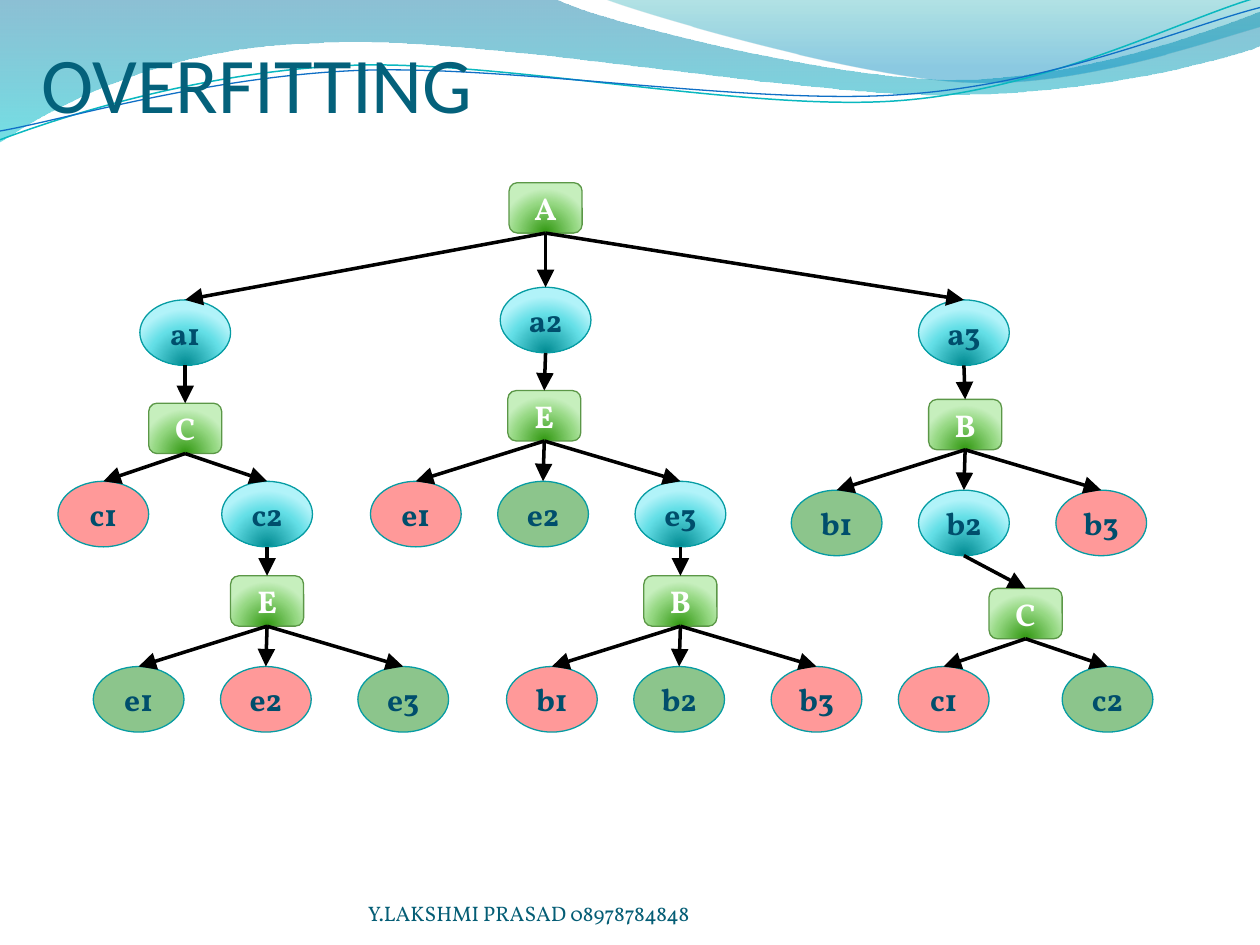
from dataclasses import dataclass

from lxml.etree import SubElement
from pptx import Presentation
from pptx.dml.color import RGBColor
from pptx.enum.shapes import MSO_CONNECTOR, MSO_SHAPE
from pptx.enum.text import MSO_ANCHOR, MSO_AUTO_SIZE, PP_ALIGN
from pptx.oxml.ns import qn
from pptx.util import Inches, Pt


@dataclass(frozen=True)
class Theme:
    title_font: str = "Calibri"
    body_font: str = "Vollkorn"
    title_size: float = 45
    node_size: float = 18
    footer_size: float = 12
    title: str = "04617B"
    footer: str = "045D75"
    attribute_text: str = "FFFFFF"
    value_text: str = "004E6C"
    attribute_line: str = "5B9747"
    value_line: str = "069CA3"
    arrow: str = "000000"
    # Gradient stops: position, colour, opacity in percent
    attribute: tuple = ((0, "319811", 100), (68, "95D882", 100), (100, "C6EFBD", 100))
    branch: tuple = ((0, "008A91", 100), (68, "64DFE7", 100), (100, "B1F3F9", 100))
    negative: tuple = ("FF0000", 40)
    positive: tuple = ("008000", 45)
    wide_wave: tuple = ((0, "0074A1", 45), (100, "00C6CF", 55))
    right_wave: tuple = ((0, "00A1A9", 30), (80, "008BBF", 45))
    upper_curve: str = "0AB8BF"
    lower_curve: str = "0F6FC6"


THEME = Theme()

# Outlines: a start point, then lines (2 numbers) and Bezier curves (6 numbers)
WIDE_WAVE = [(0, 0), (4.4, -0.01), (4.76, 0.17, 6.64, 0.63, 7.58, 0.63),
             (8.53, 0.63, 9.58, 0.26, 10, 0.09), (10.01, 0.36),
             (9.83, 0.44, 8.7, 0.76, 7.46, 0.75), (6.22, 0.75, 3.82, 0.28, 2.57, 0.34),
             (1.29, 0.36, 0.46, 0.83, -0.01, 1.13)]
RIGHT_WAVE = [(4.79, -0.01), (5.09, 0.11, 6.82, 0.62, 7.69, 0.65),
              (8.56, 0.69, 9.61, 0.32, 10, 0.21), (10, 0)]
UPPER_CURVE = [(0, 1.11), (0.48, 0.93, 1.58, 0.57, 2.77, 0.52),
               (3.95, 0.47, 5.93, 0.89, 7.13, 0.8), (8.33, 0.71, 9.38, 0.15, 9.98, -0.02)]
LOWER_CURVE = [(0, 1.04), (0.47, 0.96, 1.64, 0.61, 2.83, 0.56),
               (4.03, 0.51, 5.97, 0.84, 7.17, 0.75), (8.36, 0.67, 9.41, 0.21, 10, 0.06)]

ATTRIBUTE_SIZE = (0.58, 0.4)
VALUE_SIZE = (0.72, 0.52)
# Child offsets from the parent's centre, by number of children
FANS = {2: (-0.65, 0.65), 3: (-1.02, -0.01, 1.08)}
FAN_GAPS = {2: 0.22, 3: 0.32}


@dataclass
class Node:
    label: str
    fill: tuple
    children: tuple = ()
    dx: float = 0
    gap: float = 0


def attribute(label, *values, dx=0, gap=0.23):
    """An attribute test whose values fan out evenly below it."""
    for value, offset in zip(values, FANS[len(values)]):
        value.dx, value.gap = offset, FAN_GAPS[len(values)]
    return Node(label, THEME.attribute, values, dx, gap)


def branch(label, child):
    return Node(label, THEME.branch, (child,))


def yes(label):
    return Node(label, THEME.positive)


def no(label):
    return Node(label, THEME.negative)


def decision_tree():
    a1 = branch("a1", attribute(
        "C", no("c1"), branch("c2", attribute("E", yes("e1"), no("e2"), yes("e3"))), gap=0.3))
    a2 = branch("a2", attribute(
        "E", no("e1"), yes("e2"),
        branch("e3", attribute("B", no("b1"), yes("b2"), no("b3"))), dx=-0.01, gap=0.3))
    a3 = branch("a3", attribute(
        "B", yes("b1"), branch("b2", attribute("C", no("c1"), yes("c2"), dx=0.49, gap=0.26)),
        no("b3"), dx=0.01, gap=0.27))
    root = attribute("A", a1, a2, a3)
    # The first level spreads wider than the fans below it
    for value, dx, gap in zip(root.children, (-2.86, 0, 3.32), (0.53, 0.43, 0.53)):
        value.dx, value.gap = dx, gap
    return root


def color(code):
    return RGBColor.from_string(code)


def set_alpha(color_element, percent):
    SubElement(color_element, qn("a:alpha"), val=str(percent * 1000))


def fill_solid(shape, code, opacity):
    shape.fill.solid()
    shape.fill.fore_color.rgb = color(code)
    set_alpha(next(shape.element.spPr.iter(qn("a:srgbClr"))), opacity)


def fill_gradient(shape, stops, radial=False):
    shape.fill.gradient()
    gradient = shape.element.spPr.find(qn("a:gradFill"))
    for part in list(gradient):
        gradient.remove(part)
    stop_list = SubElement(gradient, qn("a:gsLst"))
    for position, code, opacity in stops:
        stop = SubElement(stop_list, qn("a:gs"), pos=str(position * 1000))
        set_alpha(SubElement(stop, qn("a:srgbClr"), val=code), opacity)
    if radial:
        focus = SubElement(gradient, qn("a:path"), {"path": "circle"})
        SubElement(focus, qn("a:fillToRect"), l="50000", t="130000", r="50000", b="-30000")
    else:
        SubElement(gradient, qn("a:lin"), ang="5400000", scaled="0")


def style_text(frame, font, size, code, bold=False, align=PP_ALIGN.LEFT):
    paragraph = frame.paragraphs[0]
    paragraph.alignment = align
    paragraph.font.name, paragraph.font.size = font, Pt(size)
    paragraph.font.bold, paragraph.font.color.rgb = bold, color(code)


def add_outline(slide, outline, left, top, closed):
    """A freeform through the anchor points, with its curved segments bent."""
    anchors = [(Inches(s[-2]), Inches(s[-1])) for s in outline]
    builder = slide.shapes.build_freeform(*anchors[0])
    builder.add_line_segments(anchors[1:], close=closed)
    shape = builder.convert_to_shape(Inches(left), Inches(top))
    shape.shadow.inherit = False
    min_x, min_y = (min(axis) for axis in zip(*anchors))
    lines = list(shape.element.spPr.iter(qn("a:lnTo")))
    for line, segment in zip(lines, outline[1:]):
        if len(segment) == 6:
            line.tag = qn("a:cubicBezTo")
            for index in (0, 1):
                x, y = segment[2 * index:2 * index + 2]
                control = SubElement(line, qn("a:pt"), x=str(Inches(x) - min_x),
                                     y=str(Inches(y) - min_y))
                line.insert(index, control)
    return shape


def add_waves(slide, left, top):
    for outline, stops in ((WIDE_WAVE, THEME.wide_wave), (RIGHT_WAVE, THEME.right_wave)):
        wave = add_outline(slide, outline, left, top, closed=True)
        fill_gradient(wave, stops)
        wave.line.fill.background()
    for outline, code, width in ((UPPER_CURVE, THEME.upper_curve, 0.85),
                                 (LOWER_CURVE, THEME.lower_curve, 0.75)):
        curve = add_outline(slide, outline, left, top, closed=False)
        curve.fill.background()
        curve.line.color.rgb, curve.line.width = color(code), Pt(width)


def place_text(holder, text, left, top, width, height, inset_top=0):
    holder.left, holder.top = Inches(left), Inches(top)
    holder.width, holder.height = Inches(width), Inches(height)
    frame = holder.text_frame
    frame.text, frame.word_wrap, frame.auto_size = text, True, MSO_AUTO_SIZE.NONE
    frame.vertical_anchor = MSO_ANCHOR.BOTTOM
    frame.margin_left = frame.margin_right = frame.margin_bottom = 0
    frame.margin_top = Inches(inset_top)
    return frame


def add_title(slide, left, top, width, height):
    title = slide.shapes.title
    frame = place_text(title, "OVERFITTING", left, top, width, height, inset_top=0.05)
    style_text(frame, THEME.title_font, THEME.title_size, THEME.title)
    # Bring the title in front of the waves
    title.element.getparent().append(title.element)


def add_footer(slide, left, top, width, height):
    footer = slide.shapes.add_textbox(0, 0, 0, 0)
    frame = place_text(footer, "Y.LAKSHMI PRASAD 08978784848", left, top, width, height)
    style_text(frame, THEME.body_font, THEME.footer_size, THEME.footer)


def add_arrow(slide, start, end):
    arrow = slide.shapes.add_connector(
        MSO_CONNECTOR.STRAIGHT, *(Inches(length) for length in (*start, *end)))
    arrow.line.color.rgb, arrow.line.width = color(THEME.arrow), Pt(2)
    SubElement(arrow.element.spPr.find(qn("a:ln")), qn("a:tailEnd"),
               type="triangle", w="lg", len="lg")
    SubElement(arrow.element.spPr, qn("a:effectLst"))


def add_tree(slide, node, center, top):
    """Draw a node with its top centre at the given point, then its subtree."""
    is_attribute = node.fill is THEME.attribute
    width, height = ATTRIBUTE_SIZE if is_attribute else VALUE_SIZE
    shape = slide.shapes.add_shape(
        MSO_SHAPE.ROUNDED_RECTANGLE if is_attribute else MSO_SHAPE.OVAL,
        Inches(center - width / 2), Inches(top), Inches(width), Inches(height))
    shape.shadow.inherit = False
    if node.children:
        fill_gradient(shape, node.fill, radial=True)
    else:
        fill_solid(shape, *node.fill)
    shape.line.color.rgb = color(THEME.attribute_line if is_attribute else THEME.value_line)
    shape.line.width = Pt(0.75)
    frame = shape.text_frame
    frame.text, frame.word_wrap = node.label, False
    frame.vertical_anchor = MSO_ANCHOR.MIDDLE
    style_text(frame, THEME.body_font, THEME.node_size,
               THEME.attribute_text if is_attribute else THEME.value_text,
               bold=True, align=PP_ALIGN.CENTER)
    bottom = top + height
    for child in node.children:
        child_top = (center + child.dx, bottom + child.gap)
        add_tree(slide, child, *child_top)
        add_arrow(slide, (center, bottom), child_top)


presentation = Presentation()
presentation.slide_width, presentation.slide_height = Inches(10), Inches(7.5)
slide = presentation.slides.add_slide(presentation.slide_layouts.get_by_name("Title Only"))
add_waves(slide, 0, 0)
add_title(slide, 0.33, 0.25, 6.48, 0.78)
add_tree(slide, decision_tree(), 4.33, 1.45)
add_footer(slide, 2.92, 6.95, 3.67, 0.4)
presentation.save("out.pptx")
